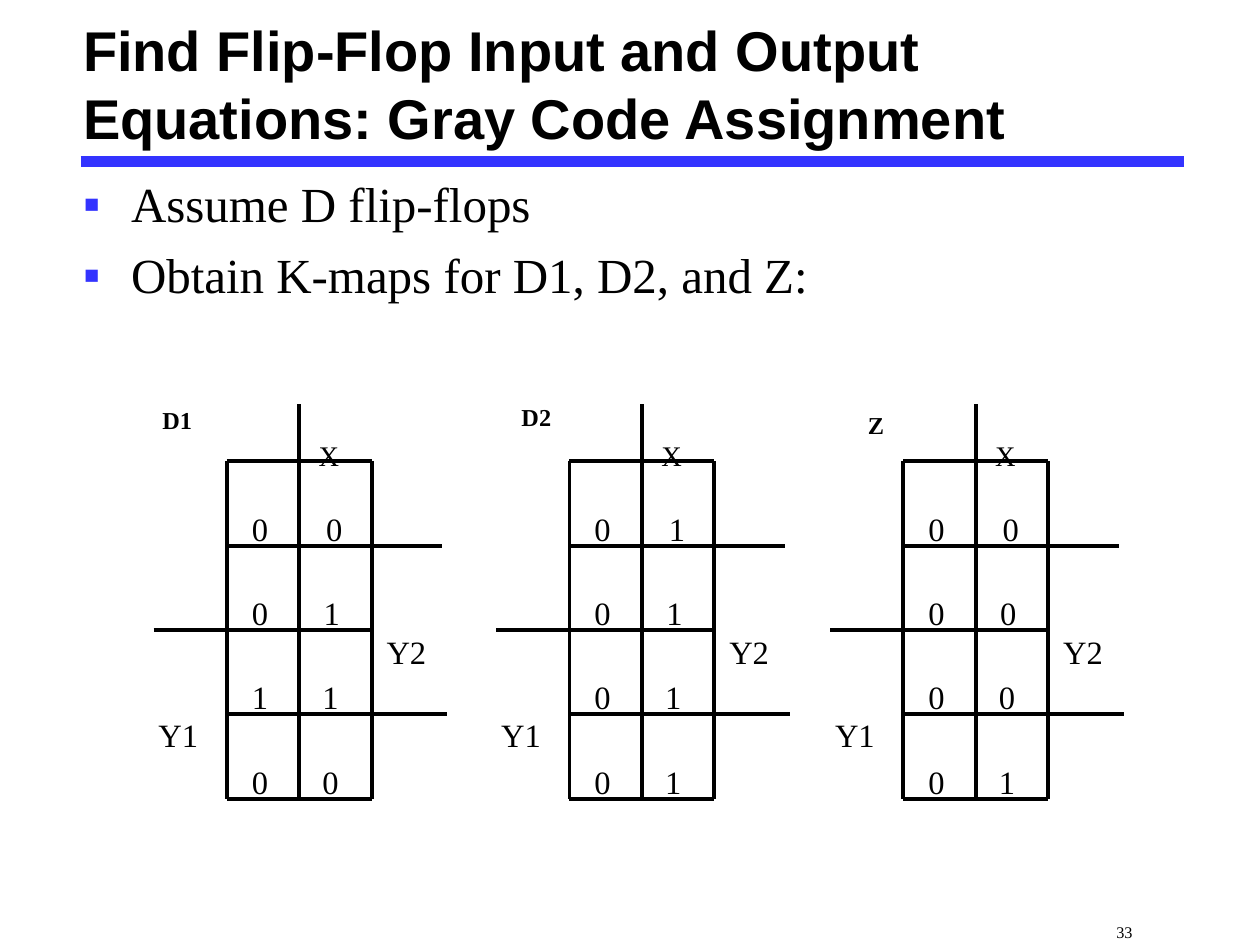
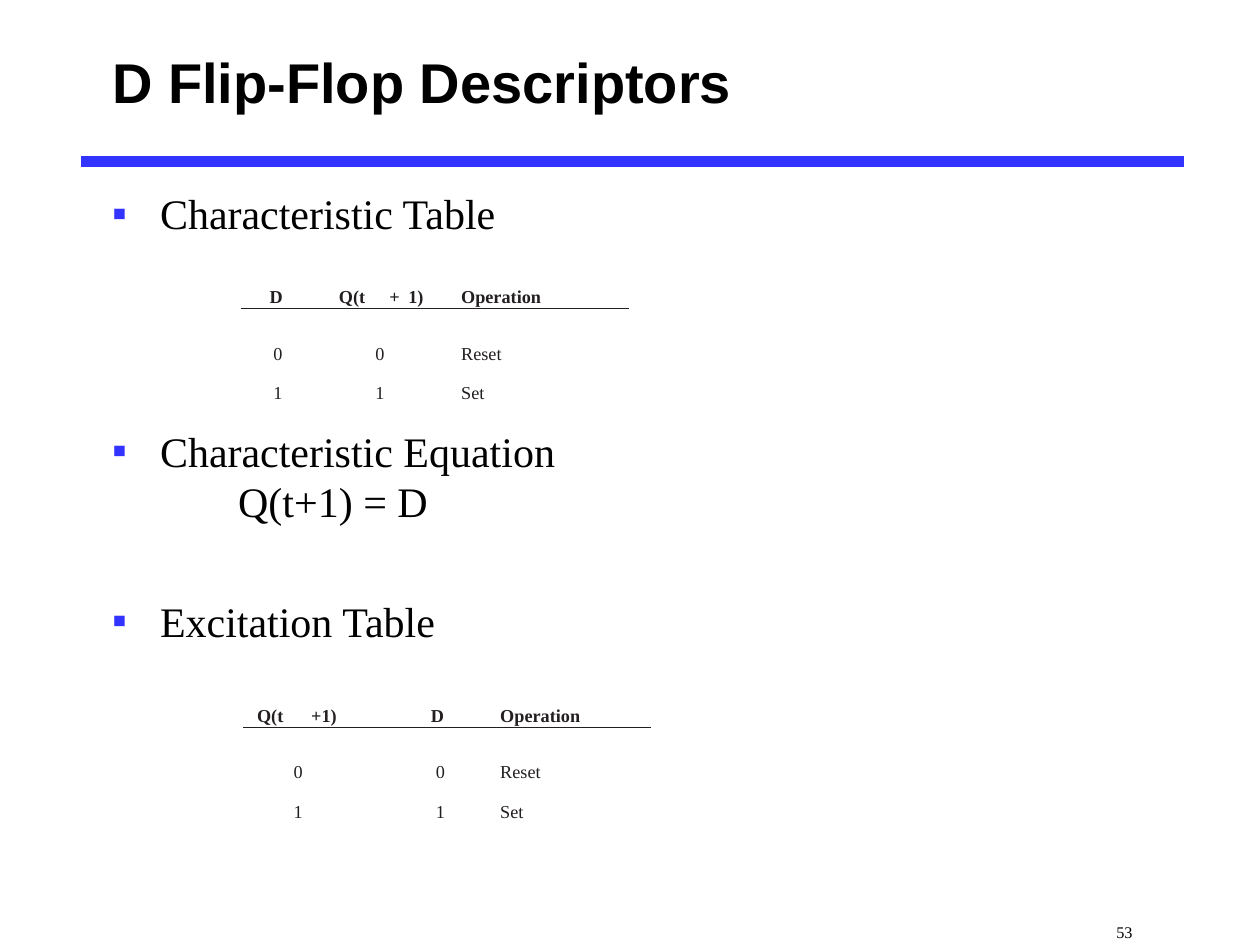
import pptx
import pptx.dml.color
import pptx.enum.shapes
import pptx.enum.text
import pptx.oxml.ns
import pptx.util
import lxml.etree

Inches = pptx.util.Inches
Pt = pptx.util.Pt

COLORS = {"accent": "3333FF", "text": "000000", "table": "231F20"}
HEADING_FONT = "Arial"
BODY_FONT = "Times New Roman"
SUBSCRIPT = "-25000"

ROW, COL = 0.67, 0.575
MAP_TOP = 3.66
VALUE_DX = [(0.1, 0.69), (0.1, 0.67), (0.1, 0.66), (0.1, 0.66)]


def rgb(name):
    return pptx.dml.color.RGBColor.from_string(COLORS[name])


def add_element(parent, tag, **attrs):
    return lxml.etree.SubElement(parent, pptx.oxml.ns.qn(tag), **attrs)


def add_run(p, text, size, color="text", font=BODY_FONT, bold=False):
    r = p.add_run()
    r.text = text
    r.font.name = font
    r.font.size = Pt(size)
    r.font.bold = bold
    r.font.color.rgb = rgb(color)
    return r


def add_line(shapes, x1, y1, x2, y2, color="text", width=2.25):
    line = shapes.add_connector(
        pptx.enum.shapes.MSO_CONNECTOR.STRAIGHT,
        Inches(x1), Inches(y1), Inches(x2), Inches(y2))
    line.line.color.rgb = rgb(color)
    line.line.width = Pt(width)
    add_element(line.element.spPr, "a:effectLst")
    return line


def add_label(shapes, x, y, w, h, parts, size, color="text", bold=False, inset=True):
    sp = shapes.add_textbox(Inches(x), Inches(y), Inches(w), Inches(h))
    tf = sp.text_frame
    tf.word_wrap = True
    if not inset:
        tf.margin_left = tf.margin_right = tf.margin_top = tf.margin_bottom = 0
    for part in parts:
        r = add_run(tf.paragraphs[0], part, size, color, bold=bold)
        r.font._element.set("baseline", SUBSCRIPT)
    return sp


def place(sp, x, y, w, h, anchor):
    sp.left, sp.top, sp.width, sp.height = Inches(x), Inches(y), Inches(w), Inches(h)
    tf = sp.text_frame
    tf.word_wrap = True
    tf.auto_size = pptx.enum.text.MSO_AUTO_SIZE.NONE
    tf.vertical_anchor = anchor
    return tf


def set_title(slide, text, box):
    tf = place(slide.shapes.title, *box, pptx.enum.text.MSO_ANCHOR.MIDDLE)
    p = tf.paragraphs[0]
    p.alignment = pptx.enum.text.PP_ALIGN.LEFT
    add_run(p, text, 32, font=HEADING_FONT, bold=True)


def set_bullets(slide, items, size, box):
    tf = place(slide.placeholders[1], *box, pptx.enum.text.MSO_ANCHOR.TOP)
    for i, (lines, space) in enumerate(items):
        p = tf.paragraphs[0] if i == 0 else tf.add_paragraph()
        p.space_before = Pt(space)
        pPr = p._p.get_or_add_pPr()
        pPr.set("marL", str(Inches(0.38)))
        pPr.set("indent", str(Inches(-0.38)))
        add_element(add_element(pPr, "a:buClr"), "a:srgbClr", val=COLORS["accent"])
        add_element(pPr, "a:buFont", typeface=HEADING_FONT)
        add_element(pPr, "a:buChar", char="▪")
        add_element(add_element(pPr, "a:tabLst"), "a:tab", pos=str(Inches(1)), algn="l")
        for j, line in enumerate(lines):
            if j:
                p.add_line_break()
            add_run(p, line, size)


def add_slide_number(slide, number):
    sp = add_label(slide.shapes, 7.9, 7.12, 2.1, 0.38, [number], 16)
    sp.text_frame.margin_left = Inches(0.96)


def add_master_band(prs, slide):
    band = add_line(slide.shapes, 0.64, 1.28, 9.4, 1.28, "accent", 6)
    prs.slide_master.element.cSld.spTree.append(band.element)


def add_kmap(slide, x, values):
    shapes = slide.shapes.add_group_shape().shapes
    width = 2 * COL
    row_spans = [(0, width), (0, 1.71), (-0.58, width), (0, 1.75), (0, width)]
    for i, (start, end) in enumerate(row_spans):
        y = MAP_TOP + i * ROW
        add_line(shapes, x + start, y, x + end, y)
    for i, top in enumerate([MAP_TOP, 3.21, MAP_TOP]):
        add_line(shapes, x + i * COL, top, x + i * COL, MAP_TOP + 4 * ROW)
    add_label(shapes, x + 1.17, 4.67, 0.67, 0.63, ["Y", "2"], 32)
    add_label(shapes, x - 0.64, 5.33, 0.67, 0.63, ["Y", "1"], 32)
    add_label(shapes, x + 0.63, 3.17, 0.48, 0.57, ["X"], 28)
    for i, (row, offsets) in enumerate(zip(values, VALUE_DX)):
        for value, dx in zip(row, offsets):
            add_label(shapes, x + dx, MAP_TOP + 0.03 + i * ROW, 0.4, 0.63, [value], 32)


def add_state_table(slide, left, right, top, headers, columns):
    shapes = slide.shapes.add_group_shape().shapes
    add_line(shapes, left, top + 0.35, right, top + 0.35, "table", 0.5)
    for x, text, w in headers:
        add_label(shapes, x, top, w, 0.3, [text], 18, "table", True, False)
    for x, values, w in columns:
        for value, dy in zip(values, (0.45, 0.76)):
            add_label(shapes, x, top + dy, w, 0.3, [value], 18, "table", False, False)


def gap_for_lines(count, line=27.6, space=6):
    return count * (line + space) - line


def build_kmaps(prs, slide):
    set_title(slide, "Find Flip-Flop Input and Output Equations: Gray Code Assignment",
              (0.56, 0.1, 9.05, 1.12))
    set_bullets(slide, [(["Assume D flip-flops"], 0),
                        (["Obtain K-maps for D1, D2, and Z:"], 7)],
                28, (0.56, 1.33, 9.16, 1.88))
    add_slide_number(slide, "33")
    maps = [
        (1.8, ["00", "01", "11", "00"], ["D", "1"], 1.19, 2.94),
        (4.52, ["01", "01", "01", "01"], ["D", "2"], 4.04, 2.92),
        (7.17, ["00", "00", "00", "01"], ["Z"], 6.79, 2.98),
    ]
    for x, values, name, name_x, name_y in maps:
        add_kmap(slide, x, values)
        add_label(slide.shapes, name_x, name_y, 0.61, 0.5, name, 24, bold=True)


def build_descriptors(prs, slide):
    set_title(slide, "D Flip-Flop Descriptors", (0.79, 0.08, 8.5, 1.12))
    set_bullets(slide, [(["Characteristic Table"], 0),
                        (["Characteristic Equation", "\tQ(t+1) = D"], gap_for_lines(4)),
                        (["Excitation Table"], gap_for_lines(2))],
                24, (0.79, 1.44, 8.5, 5.5))
    bits, operations = ("0", "1"), ("Reset", "Set")
    add_state_table(
        slide, 1.91, 4.99, 2.1,
        [(2.14, "D", 0.21), (2.69, "Q(t", 0.39), (3.09, "+", 0.15),
         (3.24, "1)", 0.22), (3.66, "Operation", 1.13)],
        [(2.17, bits, 0.12), (2.98, bits, 0.12), (3.66, operations, 0.62)])
    add_state_table(
        slide, 1.93, 5.17, 5.42,
        [(2.04, "Q(t", 0.39), (2.47, "+1)", 0.37), (3.42, "D", 0.21),
         (3.97, "Operation", 1.13)],
        [(2.33, bits, 0.12), (3.46, bits, 0.12), (3.97, operations, 0.62)])
    add_slide_number(slide, "53")


def main():
    prs = pptx.Presentation()
    prs.slide_width, prs.slide_height = Inches(10), Inches(7.5)
    kmaps, descriptors = [prs.slides.add_slide(prs.slide_layouts[1]) for _ in range(2)]
    add_master_band(prs, kmaps)
    build_kmaps(prs, kmaps)
    build_descriptors(prs, descriptors)
    prs.save("out.pptx")


if __name__ == "__main__":
    main()
